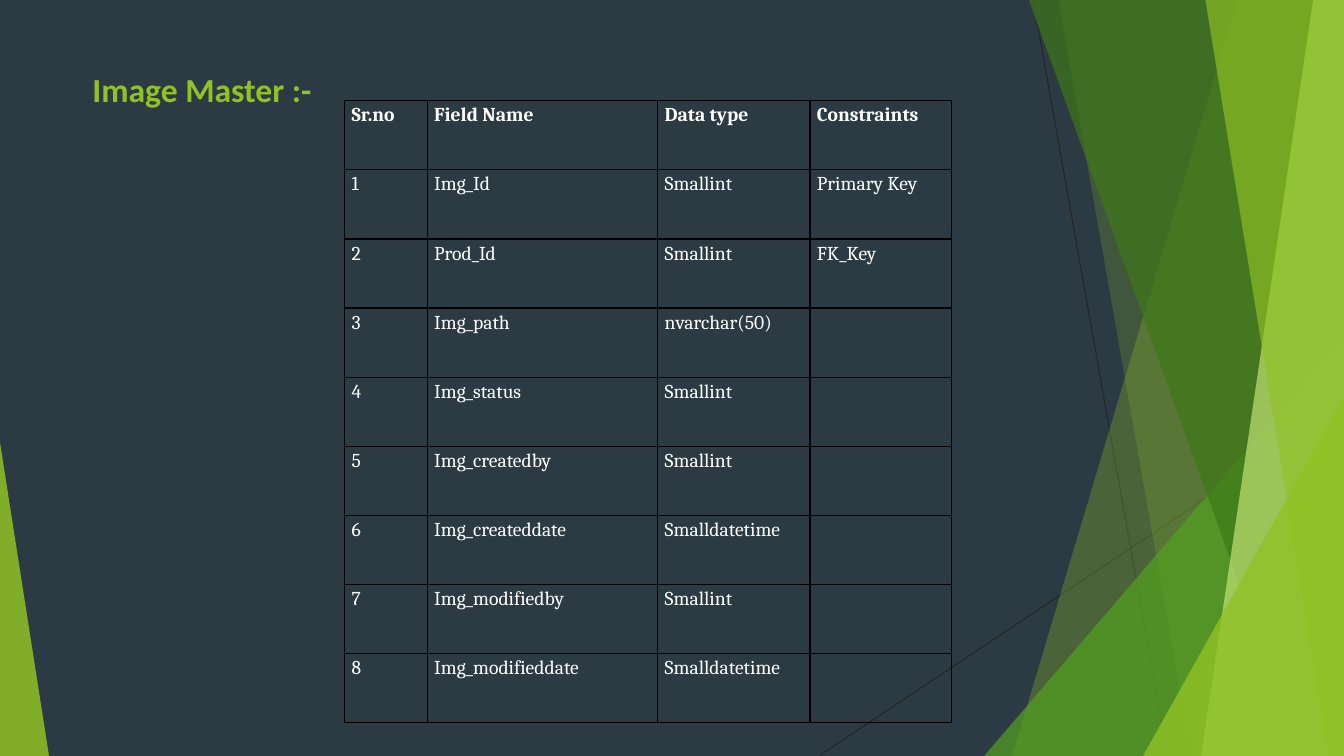
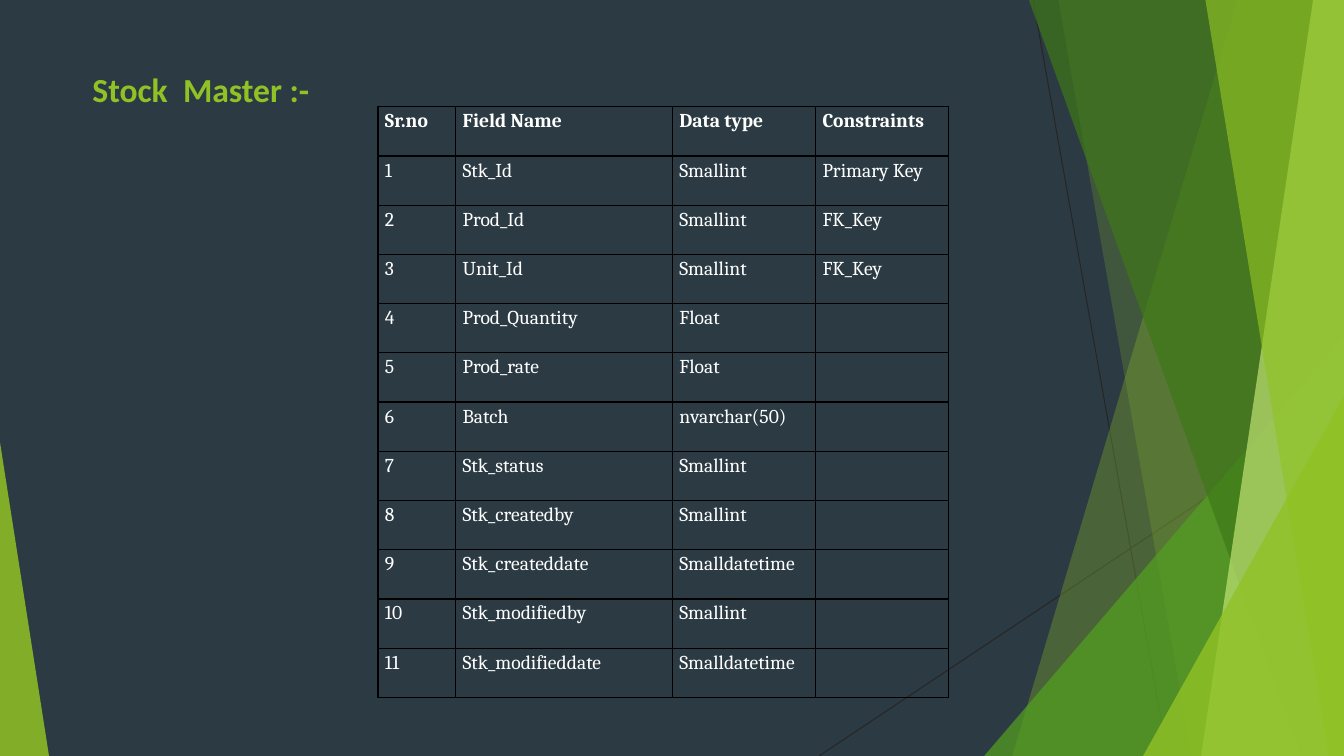
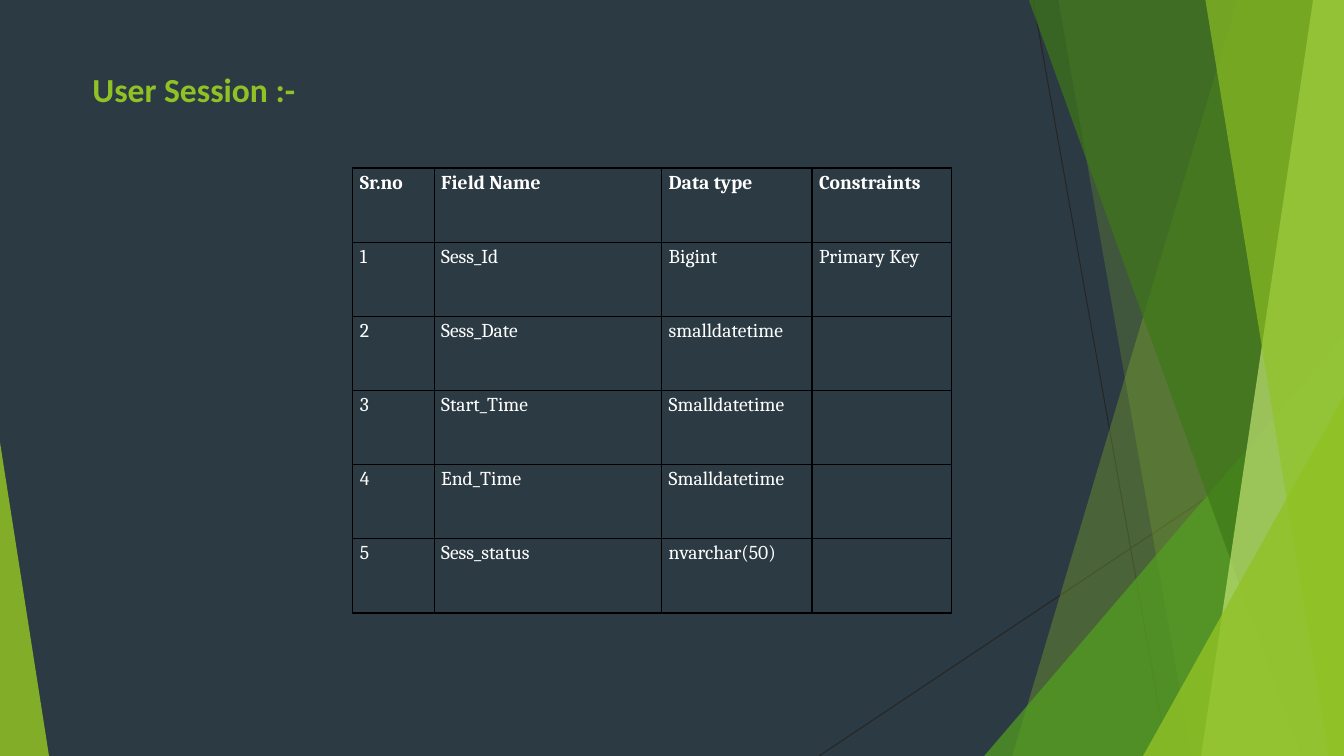
from lxml import etree
from pptx import Presentation
from pptx.dml.color import RGBColor
from pptx.enum.shapes import MSO_CONNECTOR
from pptx.enum.text import MSO_ANCHOR, MSO_AUTO_SIZE, PP_ALIGN
from pptx.oxml.ns import qn
from pptx.util import Pt

STRAIGHT = MSO_CONNECTOR.STRAIGHT
TOP = MSO_ANCHOR.TOP
LEFT = PP_ALIGN.LEFT
NO_FIT = MSO_AUTO_SIZE.NONE

WIDTH, HEIGHT = 960, 540
TITLE_BOX = (66, 49, 360, 29)
GREEN, LEAF, FOREST, LIME = "90C225", "539F20", "3E7818", "C0E374"
SLATE, HAIRLINE, BLACK, WHITE = "2C3B43", "252525", "000000", "FFFFFF"

RAYS = [((738, 0), (834, HEIGHT)), ((WIDTH, 290), (585, HEIGHT))]
RIGHT_TOP, RIGHT_BOTTOM = (WIDTH, 0), (WIDTH, HEIGHT)
FACETS = [
    (GREEN, 30, [RIGHT_TOP, (884, 0), (723, HEIGHT), RIGHT_BOTTOM]),
    (GREEN, 20, [RIGHT_TOP, (756, 0), (851, HEIGHT), RIGHT_BOTTOM]),
    (LEAF, 72, [(WIDTH, 240), (703, HEIGHT), RIGHT_BOTTOM]),
    (FOREST, 70, [RIGHT_TOP, (735, 0), (929.5, HEIGHT), RIGHT_BOTTOM]),
    (LIME, 70, [RIGHT_TOP, (938, 0), (858, HEIGHT), RIGHT_BOTTOM]),
    (GREEN, 65, [RIGHT_TOP, (861, 0), (949, HEIGHT), RIGHT_BOTTOM]),
    (GREEN, 80, [(WIDTH, 283), (816.5, HEIGHT), RIGHT_BOTTOM]),
    (GREEN, 85, [(0, 316), (0, HEIGHT), (35, HEIGHT)]),
]

HEADINGS = ("Sr.no", "Field Name", "Data type", "Constraints")
COLUMN_SHARES = (0.136, 0.38, 0.251, 0.233)
TABLES = [
    ("Image Master :-", (246.2, 72, 433.4, 444.4), [
        ("Img_Id", "Smallint", "Primary Key"),
        ("Prod_Id", "Smallint", "FK_Key"),
        ("Img_path", "nvarchar(50)", ""),
        ("Img_status", "Smallint", ""),
        ("Img_createdby", "Smallint", ""),
        ("Img_createddate", "Smalldatetime", ""),
        ("Img_modifiedby", "Smallint", ""),
        ("Img_modifieddate", "Smalldatetime", ""),
    ]),
    ("Stock  Master :-", (270, 76.3, 407.5, 422), [
        ("Stk_Id", "Smallint", "Primary Key"),
        ("Prod_Id", "Smallint", "FK_Key"),
        ("Unit_Id", "Smallint", "FK_Key"),
        ("Prod_Quantity", "Float", ""),
        ("Prod_rate", "Float", ""),
        ("Batch", "nvarchar(50)", ""),
        ("Stk_status", "Smallint", ""),
        ("Stk_createdby", "Smallint", ""),
        ("Stk_createddate", "Smalldatetime", ""),
        ("Stk_modifiedby", "Smallint", ""),
        ("Stk_modifieddate", "Smalldatetime", ""),
    ]),
    ("User Session :-", (252, 120, 427.7, 318), [
        ("Sess_Id", "Bigint", "Primary Key"),
        ("Sess_Date", "smalldatetime", ""),
        ("Start_Time", "Smalldatetime", ""),
        ("End_Time", "Smalldatetime", ""),
        ("Sess_status", "nvarchar(50)", ""),
    ]),
]


def paint(color_format, color):
    """Set a colour format to a hex colour."""
    color_format.rgb = RGBColor.from_string(color)


def write_text(frame, text, size=14, font="Cambria", color=WHITE, bold=False, spacing=None):
    """Write one formatted, left-aligned paragraph into a text frame."""
    para = frame.paragraphs[0]
    para.alignment = LEFT
    para.line_spacing = spacing
    span = para.add_run()
    span.text = text
    span.font.size = Pt(size)
    span.font.name = font
    span.font.bold = bold
    paint(span.font.color, color)


def add_ray(page, start, end):
    """Draw a thin line between two points."""
    ray = page.shapes.add_connector(STRAIGHT, *map(Pt, start + end))
    ray.line.width = Pt(0.72)
    paint(ray.line.color, HAIRLINE)
    etree.SubElement(ray.element.spPr, qn("a:effectLst"))
    return ray


def add_facet(page, color, opacity, points):
    """Draw a translucent polygon."""
    corners = [(Pt(x), Pt(y)) for x, y in points]
    builder = page.shapes.build_freeform(*corners[0], scale=1.0)
    builder.add_line_segments(corners[1:], close=True)
    facet = builder.convert_to_shape()
    facet.shadow.inherit = False
    facet.line.fill.background()
    facet.fill.solid()
    paint(facet.fill.fore_color, color)
    tint = facet.element.spPr.find(qn("a:solidFill"))[0]
    etree.SubElement(tint, qn("a:alpha"), val=str(opacity * 1000))
    return facet


def move_backdrop(page, layout):
    """Draw the backdrop on a page and hand it to the layout, behind its title."""
    layout.background.fill.solid()
    paint(layout.background.fill.fore_color, SLATE)
    for holder in list(layout.placeholders)[1:]:
        layout.shapes.element.remove(holder.element)
    parts = [add_ray(page, *ends) for ends in RAYS]
    parts += [add_facet(page, *facet) for facet in FACETS]
    for index, part in enumerate(parts, start=2):
        layout.shapes.element.insert(index, part.element)


def place_title(page, box, text):
    """Move the title placeholder into a box and fill it."""
    title = page.shapes.title
    title.left, title.top, title.width, title.height = map(Pt, box)
    frame = title.text_frame
    frame.margin_left = frame.margin_right = frame.margin_top = frame.margin_bottom = 0
    frame.vertical_anchor = TOP
    frame.word_wrap = True
    frame.auto_size = NO_FIT
    write_text(frame, text, size=24, font="Calibri", color=GREEN, bold=True)


def format_cell(cell):
    """Clear a cell's fill, set its margins and draw its borders."""
    cell.fill.background()
    cell.margin_left = cell.margin_right = Pt(5)
    cell.margin_top = cell.margin_bottom = 0
    properties = cell._tc.get_or_add_tcPr()
    for index, side in enumerate(("lnL", "lnR", "lnT", "lnB")):
        border = etree.Element(qn("a:" + side), w=str(Pt(1)))
        fill = etree.SubElement(border, qn("a:solidFill"))
        etree.SubElement(fill, qn("a:srgbClr"), val=BLACK)
        properties.insert(index, border)


def place_table(page, box, fields):
    """Place a numbered field table in a box."""
    rows = [HEADINGS] + [(str(number), *field) for number, field in enumerate(fields, start=1)]
    width, height = box[2:]
    table = page.shapes.add_table(len(rows), len(HEADINGS), *map(Pt, box)).table
    table.first_row = table.horz_banding = False
    for column, share in zip(table.columns, COLUMN_SHARES):
        column.width = Pt(width * share)
    for row_index, (row, values) in enumerate(zip(table.rows, rows)):
        row.height = Pt(height / len(rows))
        for cell, value in zip(row.cells, values):
            format_cell(cell)
            if value:
                write_text(cell.text_frame, value, bold=row_index == 0, spacing=1.15)


def main():
    """Build and save the deck."""
    deck = Presentation()
    deck.slide_width, deck.slide_height = Pt(WIDTH), Pt(HEIGHT)
    layout = deck.slide_layouts.get_by_name("Title Only")
    pages = [deck.slides.add_slide(layout) for _ in TABLES]
    move_backdrop(pages[0], layout)
    for page, (title, box, fields) in zip(pages, TABLES):
        place_title(page, TITLE_BOX, title)
        place_table(page, box, fields)
    deck.save("out.pptx")


if __name__ == "__main__":
    main()
